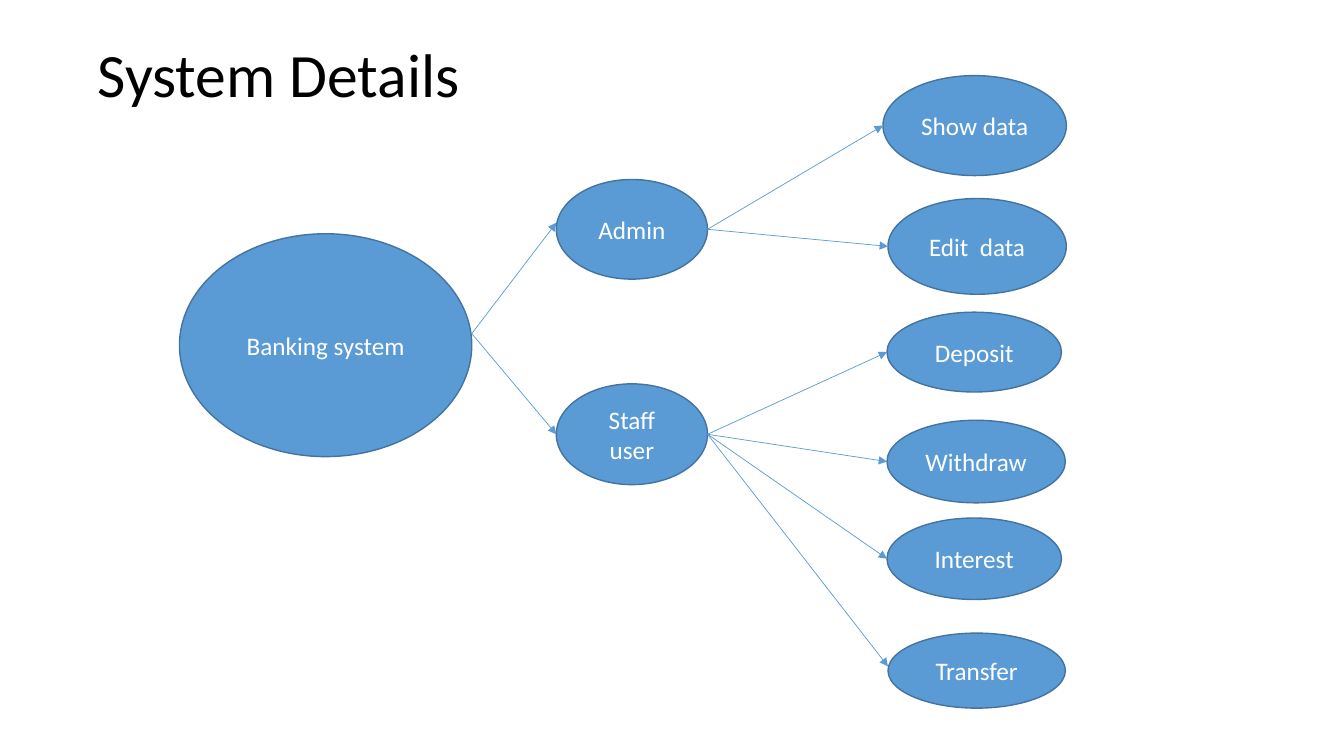
from lxml import etree
from pptx import Presentation
from pptx.dml.color import RGBColor
from pptx.enum.shapes import MSO_CONNECTOR, MSO_SHAPE
from pptx.enum.text import MSO_ANCHOR, PP_ALIGN
from pptx.oxml.ns import qn
from pptx.util import Pt

ELLIPSE = MSO_SHAPE.OVAL
STRAIGHT = MSO_CONNECTOR.STRAIGHT
MIDDLE = MSO_ANCHOR.MIDDLE
LEFT = PP_ALIGN.LEFT
CENTER = PP_ALIGN.CENTER


def color(value):
    return RGBColor.from_string(value)


class DiagramSlide:
    font = "Calibri"
    blue = "5B9BD5"
    outline = "43739E"
    white = "FFFFFF"
    black = "000000"

    def __init__(self, presentation):
        self.slide = presentation.slides.add_slide(presentation.slide_layouts[6])

    def add_label(self, shape, text, size, text_color, alignment):
        frame = shape.text_frame
        frame.word_wrap = True
        frame.vertical_anchor = MIDDLE
        paragraph = frame.paragraphs[0]
        paragraph.alignment = alignment
        run = paragraph.add_run()
        run.text = text
        run.font.name = self.font
        run.font.size = Pt(size)
        run.font.color.rgb = color(text_color)
        return paragraph

    def title(self, text, left, top, width, height):
        box = self.slide.shapes.add_textbox(Pt(left), Pt(top), Pt(width), Pt(height))
        paragraph = self.add_label(box, text, 44, self.black, LEFT)
        paragraph.line_spacing = 0.9

    def ellipse(self, text, left, top, width, height):
        shape = self.slide.shapes.add_shape(ELLIPSE, Pt(left), Pt(top), Pt(width), Pt(height))
        shape.shadow.inherit = False
        shape.fill.solid()
        shape.fill.fore_color.rgb = color(self.blue)
        shape.line.color.rgb = color(self.outline)
        shape.line.width = Pt(1)
        self.add_label(shape, text, 18, self.white, CENTER)
        return shape

    def arrow(self, source, target, start_shift=0, end_shift=0):
        connector = self.slide.shapes.add_connector(
            STRAIGHT,
            source.left + source.width,
            source.top + source.height // 2 + Pt(start_shift),
            target.left,
            target.top + target.height // 2 + Pt(end_shift),
        )
        connector.line.color.rgb = color(self.blue)
        connector.line.width = Pt(0.5)
        properties = connector._element.spPr
        line = properties.find(qn("a:ln"))
        etree.SubElement(line, qn("a:tailEnd"), type="triangle")
        etree.SubElement(properties, qn("a:effectLst"))


NODES = [
    ("Banking system", 128.2, 167, 208.8, 159.2),
    ("Admin", 397.4, 128.2, 108, 71.2),
    ("Staff user", 397.4, 274.2, 108, 72),
    ("Show data", 630.7, 54, 131, 71.4),
    ("Edit  data", 634.3, 141.8, 127.4, 68.4),
    ("Deposit", 633.6, 223, 124.6, 57),
    ("Withdraw", 633.6, 300.2, 127.4, 59),
    ("Interest", 633.6, 370, 124.6, 58.2),
    ("Transfer", 634.3, 452.2, 126.7, 53.6),
]

LINKS = [
    ("Banking system", "Admin", -8.3, -4.7),
    ("Banking system", "Staff user", -8.3),
    ("Admin", "Show data"),
    ("Admin", "Edit  data"),
    ("Staff user", "Deposit"),
    ("Staff user", "Withdraw"),
    ("Staff user", "Interest"),
    ("Staff user", "Transfer", 0, -3),
]

presentation = Presentation()
presentation.slide_width = Pt(960)
presentation.slide_height = Pt(540)

diagram = DiagramSlide(presentation)
diagram.title("System Details", 62.6, 2.9, 828, 104.4)
ellipses = {node[0]: diagram.ellipse(*node) for node in NODES}
for source, target, *shifts in LINKS:
    diagram.arrow(ellipses[source], ellipses[target], *shifts)

presentation.save("out.pptx")
